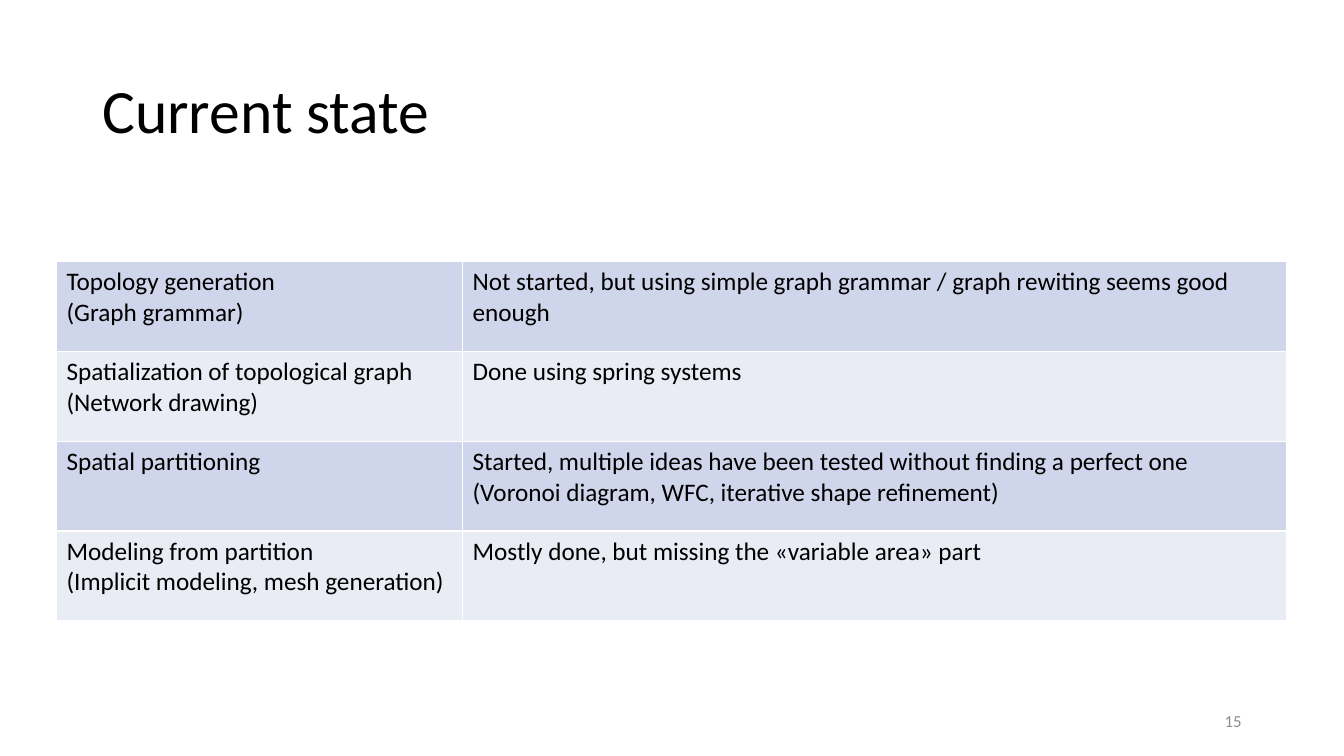
from lxml.etree import SubElement
from pptx import Presentation
from pptx.dml.color import RGBColor
from pptx.enum.text import MSO_ANCHOR, PP_ALIGN
from pptx.oxml.ns import qn
from pptx.util import Pt

COLORS = {
    "text": "000000",
    "page_number": "8C8C8C",
    "border": "FFFFFF",
    "dark_band": "CFD5EA",
    "light_band": "E9EBF5",
}

STATE_ROWS = [
    (["Topology generation", "(Graph grammar)"],
     ["Not started, but using simple graph grammar / graph rewiting seems good enough"]),
    (["Spatialization of topological graph", "(Network drawing)"],
     ["Done using spring systems"]),
    (["Spatial partitioning"],
     ["Started, multiple ideas have been tested without finding a perfect one",
      "(Voronoi diagram, WFC, iterative shape refinement)"]),
    (["Modeling from partition", "(Implicit modeling, mesh generation)"],
     ["Mostly done, but missing the «variable area» part"]),
]


class SlideBuilder:
    font_name = "Calibri"

    def __init__(self, slide):
        self.slide = slide

    def add_lines(self, text_frame, lines, size, color="text", align=PP_ALIGN.LEFT, spacing=1.0):
        for index, line in enumerate(lines):
            paragraph = text_frame.add_paragraph() if index else text_frame.paragraphs[0]
            paragraph.alignment = align
            paragraph.line_spacing = spacing
            run = paragraph.add_run()
            run.text = line
            run.font.name = self.font_name
            run.font.size = Pt(size)
            run.font.color.rgb = RGBColor.from_string(COLORS[color])

    def text(self, left, top, width, height, line, size, **style):
        shape = self.slide.shapes.add_textbox(Pt(left), Pt(top), Pt(width), Pt(height))
        text_frame = shape.text_frame
        text_frame.word_wrap = True
        text_frame.vertical_anchor = MSO_ANCHOR.MIDDLE
        self.add_lines(text_frame, [line], size, **style)

    def border(self, cell):
        properties = cell._tc.get_or_add_tcPr()
        for position, side in enumerate(("a:lnL", "a:lnR", "a:lnT", "a:lnB")):
            line = SubElement(properties, qn(side), w=str(Pt(1)))
            fill = SubElement(line, qn("a:solidFill"))
            SubElement(fill, qn("a:srgbClr"), val=COLORS["border"])
            properties.insert(position, line)

    def table(self, left, top, column_widths, row_height, rows, size):
        shape = self.slide.shapes.add_table(
            len(rows), len(column_widths), Pt(left), Pt(top),
            Pt(sum(column_widths)), Pt(row_height * len(rows)))
        table = shape.table
        table.first_row = False
        for column, width in zip(table.columns, column_widths):
            column.width = Pt(width)
        for row_index, row in enumerate(rows):
            table.rows[row_index].height = Pt(row_height)
            band = "light_band" if row_index % 2 else "dark_band"
            for column_index, lines in enumerate(row):
                cell = table.cell(row_index, column_index)
                cell.fill.solid()
                cell.fill.fore_color.rgb = RGBColor.from_string(COLORS[band])
                self.border(cell)
                self.add_lines(cell.text_frame, lines, size)


def main():
    presentation = Presentation()
    presentation.slide_width = Pt(960)
    presentation.slide_height = Pt(540)
    builder = SlideBuilder(presentation.slides.add_slide(presentation.slide_layouts[6]))
    builder.text(66, 28.75, 828, 104.4, "Current state", 44, spacing=0.9)
    builder.table(40.4, 187, [290, 589], 64.1, STATE_ROWS, 18)
    builder.text(678, 500.5, 216, 28.75, "15", 12, color="page_number", align=PP_ALIGN.RIGHT)
    presentation.save("out.pptx")


if __name__ == "__main__":
    main()
